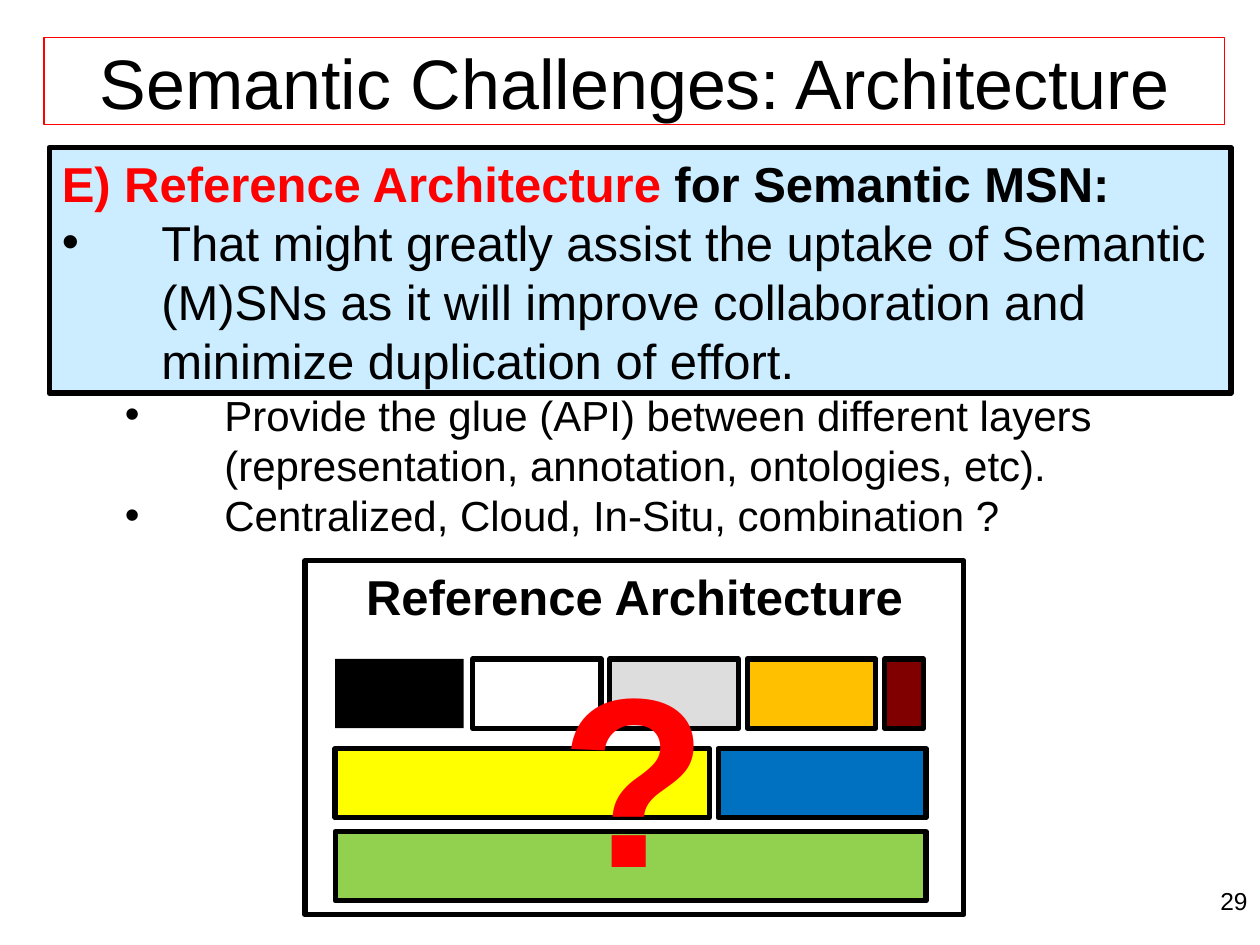
import pptx
import pptx.util
import pptx.dml.color
import pptx.enum.shapes
import pptx.enum.text
import pptx.oxml.ns
import lxml.etree

Inches, Pt = pptx.util.Inches, pptx.util.Pt
ALIGN = pptx.enum.text.PP_ALIGN
ANCHOR = pptx.enum.text.MSO_ANCHOR

BLACK, RED = "000000", "FF0000"
TITLE = "Semantic Challenges: Architecture"
HEADING = [("E) Reference Architecture ", RED), ("for Semantic MSN:", BLACK)]
BULLETS = [
    (0, 28, "That might greatly assist the uptake of Semantic (M)SNs as it will "
            "improve collaboration and minimize duplication of effort."),
    (1, 24, "Provide the glue (API) between different layers "
            "(representation, annotation, ontologies, etc)."),
    (1, 24, "Centralized, Cloud, In-Situ, combination ?"),
]
LAYERS = [
    (5.23, [(1.02, BLACK), (1.02, None), (1.02, "DDDDDD"), (1.02, "FFC000"), (0.31, "800000")]),
    (5.94, [(2.97, "FFFF00"), (1.65, "0070C0")]),
    (6.6, [(4.69, "92D050")]),
]
LAYER_LEFT, LAYER_HEIGHT, LAYER_GAP = 2.66, 0.55, 0.07
HANGING, LEVEL_STEP = 0.79, 0.5


def color(value):
    return pptx.dml.color.RGBColor.from_string(value)


def place(box, left, top, width, height):
    box.left, box.top = Inches(left), Inches(top)
    box.width, box.height = Inches(width), Inches(height)


def outline(box, value, width):
    box.line.color.rgb = color(value)
    box.line.width = Pt(width)


def add_rectangle(page, area, fill=None, lined=True):
    box = page.shapes.add_shape(pptx.enum.shapes.MSO_SHAPE.RECTANGLE, *map(Inches, area))
    box.shadow.inherit = False
    if fill:
        box.fill.solid()
        box.fill.fore_color.rgb = color(fill)
    else:
        box.fill.background()
    if lined:
        outline(box, BLACK, 3)
    else:
        box.line.fill.background()
    return box


def add_span(para, text, size, value=BLACK, bold=False):
    span = para.add_run()
    span.text = text
    span.font.name = "Arial"
    span.font.size = Pt(size)
    span.font.bold = bold
    span.font.color.rgb = color(value)


def set_bullet(para, level, char=None):
    props = para._p.get_or_add_pPr()
    props.set("marL", str(Inches(HANGING + level * LEVEL_STEP)))
    props.set("indent", str(-Inches(HANGING)))
    qualify = pptx.oxml.ns.qn
    if char:
        lxml.etree.SubElement(props, qualify("a:buFont"), typeface="Arial")
        lxml.etree.SubElement(props, qualify("a:buChar"), char=char)
    else:
        lxml.etree.SubElement(props, qualify("a:buNone"))


def add_body(page):
    body = page.placeholders[1]
    place(body, 0.39, 1.17, 9.34, 3.2)
    frame = body.text_frame
    frame.auto_size = pptx.enum.text.MSO_AUTO_SIZE.NONE
    frame.vertical_anchor = ANCHOR.TOP
    para = frame.paragraphs[0]
    set_bullet(para, 0)
    for text, value in HEADING:
        add_span(para, text, 28, value, True)
    for level, size, text in BULLETS:
        para = frame.add_paragraph()
        para.level = level
        set_bullet(para, level, "•")
        add_span(para, text, size)
    for para in frame.paragraphs:
        para.space_before = Pt(0)
        para.line_spacing = 1.0


def add_architecture(page):
    for top, blocks in LAYERS:
        left = LAYER_LEFT
        for width, fill in blocks:
            add_rectangle(page, (left, top, width, LAYER_HEIGHT), fill, fill != BLACK)
            left += width + LAYER_GAP
    frame = add_rectangle(page, (2.42, 4.45, 5.23, 2.81)).text_frame
    frame.word_wrap = False
    frame.vertical_anchor = ANCHOR.TOP
    for para, text, size, value in (
        (frame.paragraphs[0], "Reference Architecture", 28, BLACK),
        (frame.add_paragraph(), "?", 138, RED),
    ):
        para.alignment = ALIGN.CENTER
        add_span(para, text, size, value, True)


def main():
    deck = pptx.Presentation()
    deck.slide_width, deck.slide_height = Inches(10), Inches(7.5)
    page = deck.slides.add_slide(deck.slide_layouts[1])

    title = page.shapes.title
    place(title, 0.35, 0.3, 9.37, 0.69)
    outline(title, RED, 0.75)
    title.text_frame.vertical_anchor = ANCHOR.MIDDLE
    title.text_frame.auto_size = pptx.enum.text.MSO_AUTO_SIZE.NONE
    add_span(title.text_frame.paragraphs[0], TITLE, 40)

    panel = add_rectangle(page, (0.39, 1.17, 9.38, 1.95), "CCECFF")
    page.shapes._spTree.insert(2, panel._element)
    add_body(page)
    add_architecture(page)

    number = page.shapes.add_textbox(*map(Inches, (7.67, 6.98, 2.33, 0.52)))
    number.text_frame.word_wrap = True
    para = number.text_frame.paragraphs[0]
    para.alignment = ALIGN.RIGHT
    add_span(para, "29", 14)

    deck.save("out.pptx")


if __name__ == "__main__":
    main()
